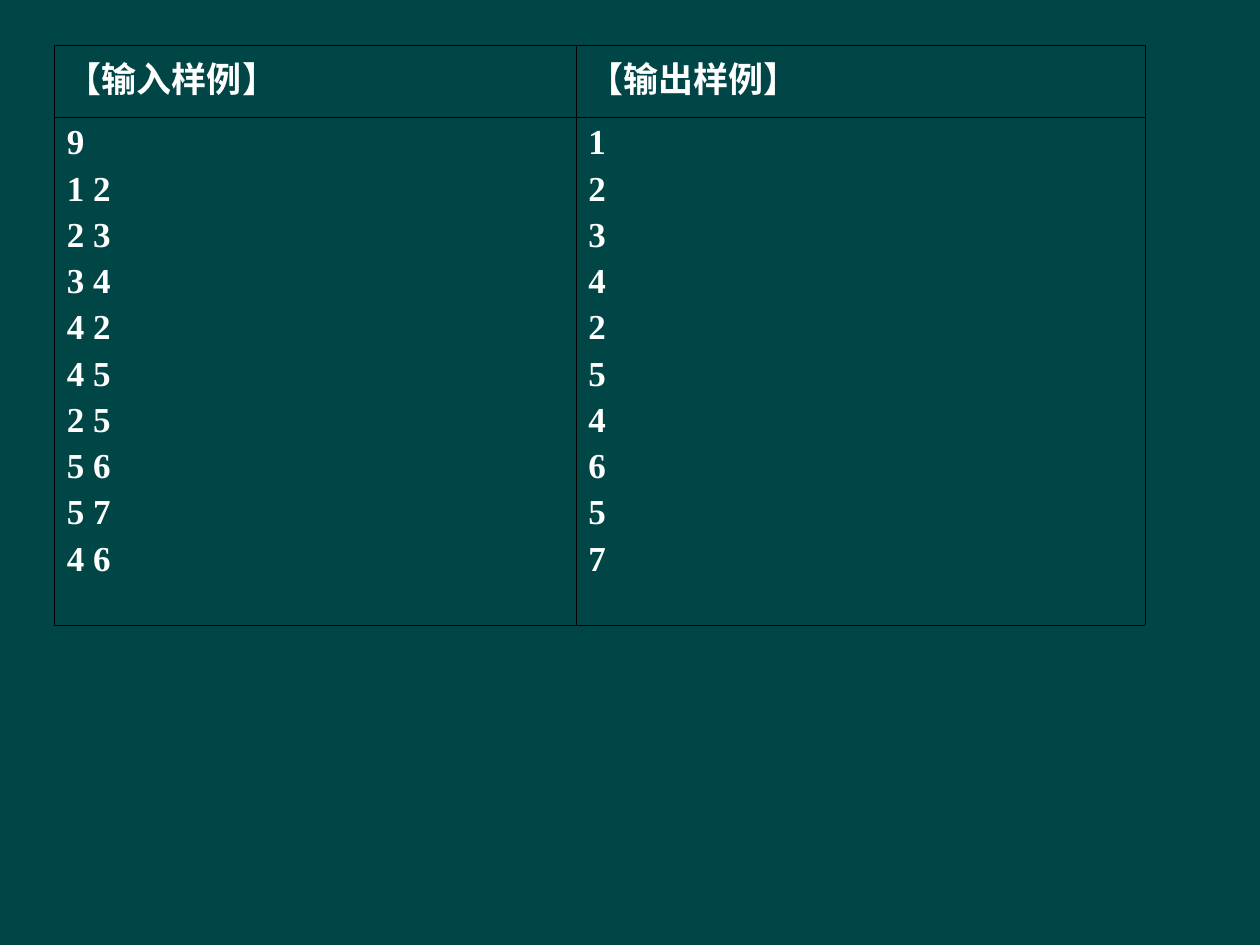
from lxml.etree import SubElement
from pptx import Presentation
from pptx.dml.color import RGBColor
from pptx.oxml.ns import qn
from pptx.util import Inches, Pt

THEME = {
    "background": RGBColor.from_string("004646"),
    "text": RGBColor.from_string("FFFFFF"),
    "border": "000000",
    "border_width": Pt(0.23),
    "size": Pt(20),
    "gap": Pt(4.25),
    "heading_font": "Noto Sans CJK SC",
    "body_font": "Times New Roman",
}


def write_lines(cell, lines, *, font, size=THEME["size"], color=THEME["text"], bold=True):
    frame = cell.text_frame
    for index, line in enumerate(lines):
        para = frame.add_paragraph() if index else frame.paragraphs[0]
        if index:
            para.space_before = THEME["gap"]
        span = para.add_run()
        span.text = line
        span.font.name = font
        span.font.size = size
        span.font.bold = bold
        span.font.color.rgb = color
        SubElement(span.font._element, qn("a:ea")).set("typeface", font)


def draw_borders(cell, *, color=THEME["border"], width=THEME["border_width"]):
    properties = cell._tc.get_or_add_tcPr()
    for side in ("lnL", "lnR", "lnT", "lnB"):
        line = SubElement(properties, qn(f"a:{side}"), w=str(int(width)))
        fill = SubElement(line, qn("a:solidFill"))
        SubElement(fill, qn("a:srgbClr"), val=color)


deck = Presentation()
deck.slide_width, deck.slide_height = Inches(10), Inches(7.5)
page = deck.slides.add_slide(deck.slide_layouts[6])
page.background.fill.solid()
page.background.fill.fore_color.rgb = THEME["background"]

columns = [Inches(4.14), Inches(4.52)]
rows = [Inches(0.57), Inches(4.03)]
table = page.shapes.add_table(
    len(rows), len(columns), Inches(0.43), Inches(0.36), sum(columns), sum(rows)
).table
table.first_row = table.horz_banding = False
for column, width in zip(table.columns, columns):
    column.width = width
for row, height in zip(table.rows, rows):
    row.height = height

samples = {
    "【输入样例】": ["9", "1 2", "2 3", "3 4", "4 2", "4 5", "2 5", "5 6", "5 7", "4 6"],
    "【输出样例】": list("1234254657"),
}
for column, (heading, values) in enumerate(samples.items()):
    write_lines(table.cell(0, column), [heading], font=THEME["heading_font"])
    write_lines(table.cell(1, column), values, font=THEME["body_font"])

for cell in table.iter_cells():
    draw_borders(cell)
    cell.fill.background()

deck.save("out.pptx")
